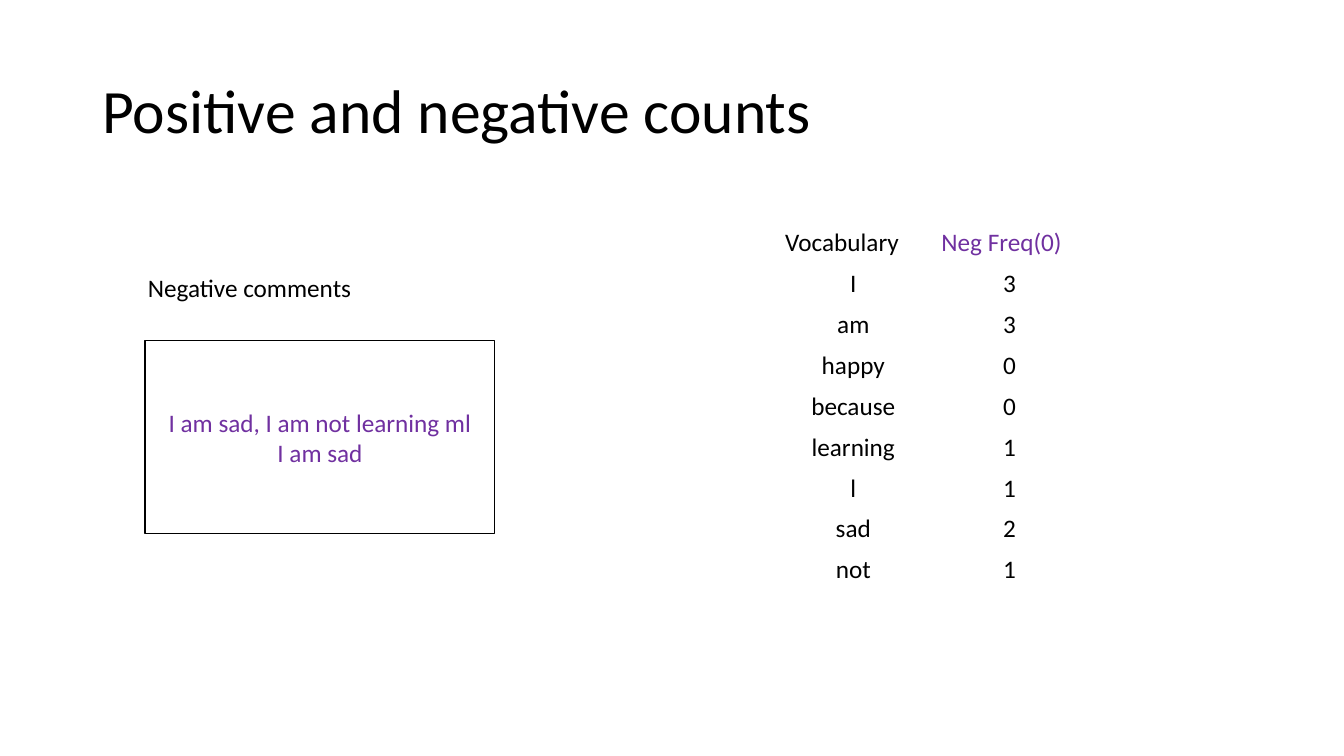
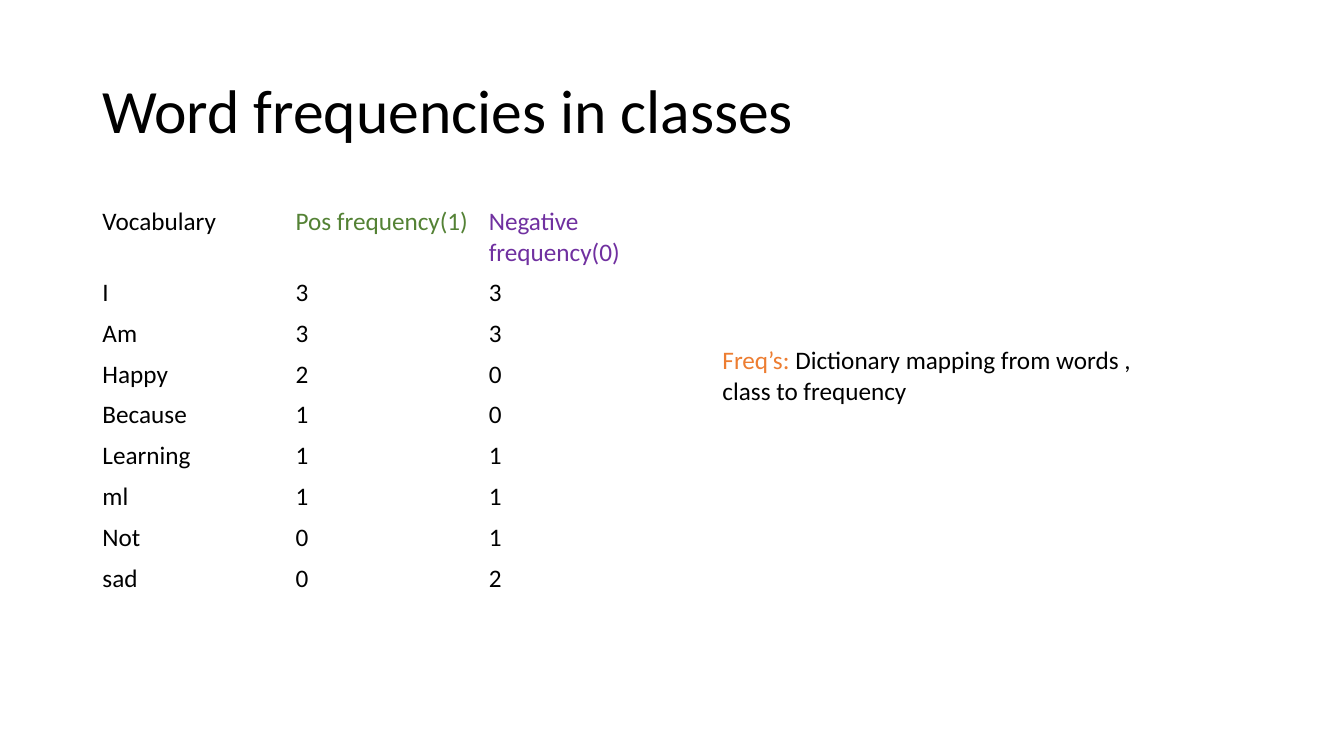
import pptx
import pptx.dml.color
import pptx.enum.shapes
import pptx.enum.text
import pptx.util

Pt = pptx.util.Pt
Align = pptx.enum.text.PP_ALIGN
Anchor = pptx.enum.text.MSO_ANCHOR

HUES = {
    "ink": "000000",
    "paper": "FFFFFF",
    "pos": "548235",
    "neg": "7030A0",
    "key": "ED7D31",
}


def tint(name):
    return pptx.dml.color.RGBColor.from_string(HUES[name])


def apply(item, form):
    """Set each attribute of item named in form."""
    for name, value in form.items():
        setattr(item, name, value)


class Deck:
    body = {"name": "Calibri", "size": Pt(18)}
    head = {"name": "Calibri", "size": Pt(44)}
    row = 29.2

    def __init__(self):
        self.file = pptx.Presentation()
        apply(self.file, {"slide_width": Pt(960), "slide_height": Pt(540)})
        self.slide = None

    def page(self, title):
        self.slide = self.file.slides.add_slide(self.file.slide_layouts[6])
        self.text((66, 28.75, 828, 104.4), [[(title, "ink")]], self.head,
                  {"line_spacing": 0.9}, {"vertical_anchor": Anchor.MIDDLE})

    def fill(self, frame, lines, font, para):
        """Fill frame with lines, each a list of (text, hue) runs."""
        for i, line in enumerate(lines):
            part = frame.add_paragraph() if i else frame.paragraphs[0]
            apply(part, para)
            for words, hue in line:
                run = part.add_run()
                run.text = words
                apply(run.font, font)
                run.font.color.rgb = tint(hue)

    def text(self, box, lines, font=body, para={}, form={}):
        frame = self.slide.shapes.add_textbox(*map(Pt, box)).text_frame
        apply(frame, {"word_wrap": True, **form})
        self.fill(frame, lines, font, para)

    def panel(self, box, lines):
        kind = pptx.enum.shapes.MSO_SHAPE.RECTANGLE
        shape = self.slide.shapes.add_shape(kind, *map(Pt, box))
        shape.shadow.inherit = False
        shape.fill.solid()
        shape.fill.fore_color.rgb = tint("paper")
        shape.line.color.rgb = tint("ink")
        shape.line.width = Pt(1)
        shape.text_frame.vertical_anchor = Anchor.MIDDLE
        self.fill(shape.text_frame, lines, self.body,
                  {"alignment": Align.CENTER})

    def table(self, left, top, width, heads, rows, align=Align.LEFT):
        """Draw a plain table; heads are (text, hue), width is per column."""
        grid = [heads] + [[(word, "ink") for word in row] for row in rows]
        high, wide = len(grid), len(heads)
        size = (left, top, width * wide, self.row * high)
        table = self.slide.shapes.add_table(high, wide, *map(Pt, size)).table
        apply(table, {"first_row": False, "horz_banding": False})
        for r, row in enumerate(grid):
            for c, run in enumerate(row):
                cell = table.cell(r, c)
                cell.fill.background()
                self.fill(cell.text_frame, [[run]], self.body,
                          {"alignment": align if r else Align.LEFT})


def main():
    deck = Deck()

    deck.page("Positive and negative counts")
    deck.text((98.6, 190.8, 161.3, 29), [[("Negative comments", "ink")]],
              form={"word_wrap": False})
    deck.panel((103.7, 243.4, 249.8, 137.5),
               [[("I am sad, I am not learning ml", "neg")],
                [("I am sad", "neg")]])
    deck.table(553.7, 159.1, 111.6,
               [("Vocabulary", "ink"), ("Neg Freq(0)", "neg")],
               [("I", "3"), ("am", "3"), ("happy", "0"), ("because", "0"),
                ("learning", "1"), ("l", "1"), ("sad", "2"), ("not", "1")],
               Align.CENTER)

    deck.page("Word frequencies in classes")
    deck.table(66, 144, 138,
               [("Vocabulary", "ink"), ("Pos frequency(1)", "pos"),
                ("Negative frequency(0)", "neg")],
               [("I", "3", "3"), ("Am", "3", "3"), ("Happy", "2", "0"),
                ("Because", "1", "0"), ("Learning", "1", "1"),
                ("ml", "1", "1"), ("Not", "0", "1"), ("sad", "0", "2")])
    deck.text((509, 242.6, 327, 51),
              [[("Freq’s: ", "key"),
                ("Dictionary mapping from words , class to frequency", "ink")]])

    deck.file.save("out.pptx")


if __name__ == "__main__":
    main()
